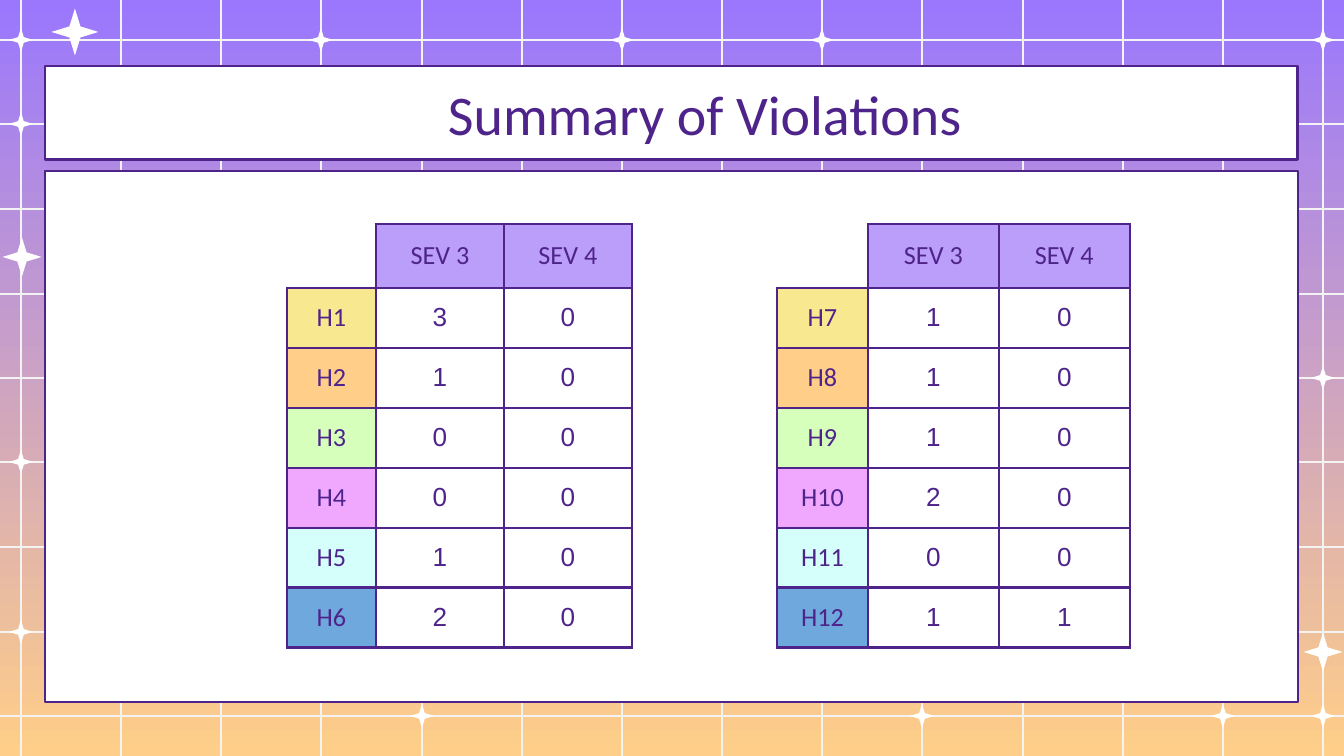
from lxml.etree import SubElement as Sub
from pptx import Presentation
from pptx.dml.color import RGBColor
from pptx.enum.shapes import MSO_CONNECTOR as Link, MSO_SHAPE as Kind
from pptx.enum.text import MSO_ANCHOR as Anchor, PP_ALIGN as Align
from pptx.oxml import parse_xml
from pptx.oxml.ns import nsdecls, qn
from pptx.util import Pt

WIDTH, HEIGHT = 1344, 756
SCALE = 914400 / 134.4
INK, WHITE, PALE, HEAD = "4E248B", "FFFFFF", "F3F3F3", "BB9EF9"
HUES = ["F8E991", "FFCE88", "D5FFBB", "F0A8FF", "D5FFFB", "6FA8DC"]
COLS = [round(21 + 1302 * i / 13) for i in range(14)]
ROWS = [round(40 + 676 * i / 8) for i in range(9)]
NODES = [(0, 0), (3, 0), (6, 0), (8, 0), (13, 0), (0, 1), (13, 4),
         (0, 5), (0, 7), (4, 8), (9, 8), (12, 8), (13, 8)]
LARGE = [(75, 32, 47), (22, 257, 39), (1323, 652, 39)]
LEFT = [(3, 0), (1, 0), (0, 0), (0, 0), (1, 0), (2, 0)]
RIGHT = [(1, 0), (1, 0), (1, 0), (2, 0), (0, 0), (1, 1)]


def px(*sizes):
    return [round(size * SCALE) for size in sizes]


def color(code):
    return RGBColor.from_string(code)


def write(frame, text, size=14, font="Calibri", indent=0):
    para = frame.paragraphs[0]
    para.alignment = Align.CENTER
    if indent:
        props = para._p.get_or_add_pPr()
        props.set("marL", str(px(indent)[0]))
        props.set("indent", "0")
    run = para.add_run()
    run.text = text
    run.font.size = Pt(size)
    run.font.name = font
    run.font.color.rgb = color(INK)


def rule(slide, *ends):
    line = slide.shapes.add_connector(Link.STRAIGHT, *px(*ends))
    line.line.color.rgb = color(PALE)
    line.line.width = Pt(0.75)
    Sub(line._element.spPr, qn("a:effectLst"))


def shape(slide, kind, *box, edge=None):
    item = slide.shapes.add_shape(kind, *px(*box))
    item.shadow.inherit = False
    item.fill.solid()
    item.fill.fore_color.rgb = color(WHITE)
    if edge:
        item.line.color.rgb = color(edge)
        item.line.width = Pt(1.5)
    else:
        item.line.fill.background()
    return item


def star(slide, x, y, size):
    item = shape(slide, Kind.STAR_4_POINT, x - size / 2, y - size / 2, size, size)
    item.adjustments[0] = 0.167


def border(cell, sides):
    props = cell._tc.get_or_add_tcPr()
    for spot, side in enumerate(sides):
        props.insert(spot, parse_xml(
            f'<a:ln{side} {nsdecls("a")} w="19050"><a:solidFill>'
            f'<a:srgbClr val="{INK}"/></a:solidFill></a:ln{side}>'))


def fill(cell, text, hue=None, font="Calibri"):
    pad = px(13)[0]
    cell.margin_left = cell.margin_right = pad
    cell.margin_top = cell.margin_bottom = pad
    cell.vertical_anchor = Anchor.MIDDLE
    if hue:
        cell.fill.solid()
        cell.fill.fore_color.rgb = color(hue)
    else:
        cell.fill.background()
    border(cell, "LRTB")
    write(cell.text_frame, text, font=font)


def table(slide, left, first, wide, counts, start):
    width = first + 2 * wide
    spot = px(left, 224, width, 64 + 60 * len(counts))
    grid = slide.shapes.add_table(len(counts) + 1, 3, *spot).table
    grid.first_row = grid.horz_banding = False
    for col, size in zip(grid.columns, px(first, wide, wide)):
        col.width = size
    for i, row in enumerate(grid.rows):
        row.height = px(60 if i else 64)[0]
    corner = grid.cell(0, 0)
    corner.fill.background()
    border(corner, "RB")
    for j, text in enumerate(["SEV 3", "SEV 4"], 1):
        fill(grid.cell(0, j), text, HEAD)
    for i, (pair, hue) in enumerate(zip(counts, HUES), 1):
        fill(grid.cell(i, 0), f"H{start + i - 1}", hue)
        for j, count in enumerate(pair, 1):
            fill(grid.cell(i, j), str(count), font="Arial")


def backdrop(slide):
    paint = slide.background.fill
    paint.gradient()
    paint.gradient_angle = 270
    for stop, place, code in zip(paint.gradient_stops, (0, 1), ("9A77FD", "FFCE88")):
        stop.position = place
        stop.color.rgb = color(code)
    for x in COLS:
        rule(slide, x, -35, x, 790)
    for y in ROWS:
        rule(slide, -62, y, 1406, y)
    for col, row in NODES:
        star(slide, COLS[col], ROWS[row], 24)
    for x, y, size in LARGE:
        star(slide, x, y, size)


def main():
    deck = Presentation()
    deck.slide_width, deck.slide_height = px(WIDTH, HEIGHT)
    slide = deck.slides.add_slide(deck.slide_layouts[6])
    backdrop(slide)
    panel = shape(slide, Kind.ROUNDED_RECTANGLE, 45, 171, 1253, 531, edge=INK)
    panel.adjustments[0] = 0
    title = shape(slide, Kind.RECTANGLE, 45, 66, 1253, 94, edge=INK)
    title.text_frame.word_wrap = True
    title.text_frame.vertical_anchor = Anchor.MIDDLE
    write(title.text_frame, "Summary of Violations", size=30, indent=67)
    table(slide, 287, 89, 128, LEFT, 1)
    table(slide, 777, 91, 131, RIGHT, 7)
    deck.save("out.pptx")


if __name__ == "__main__":
    main()
